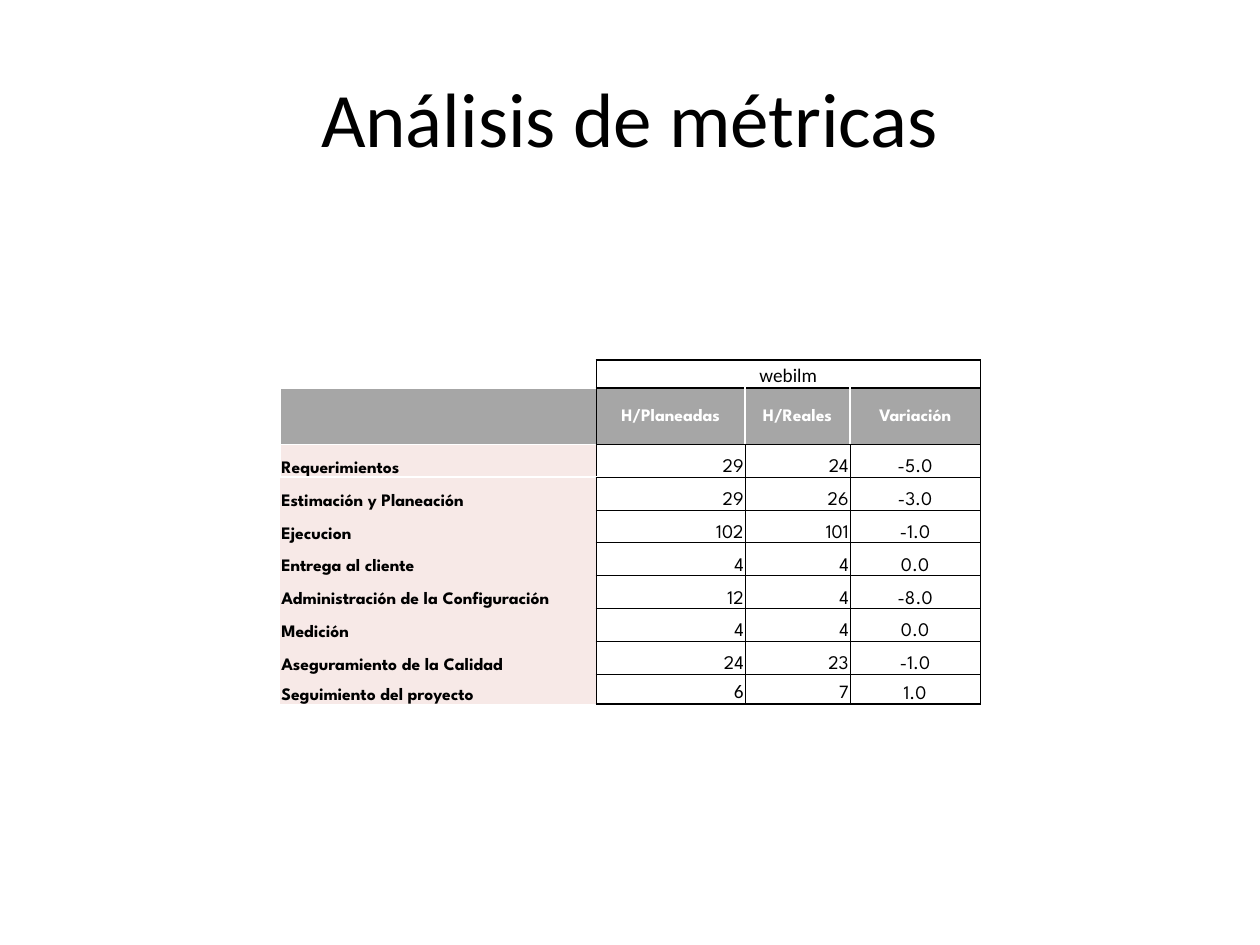
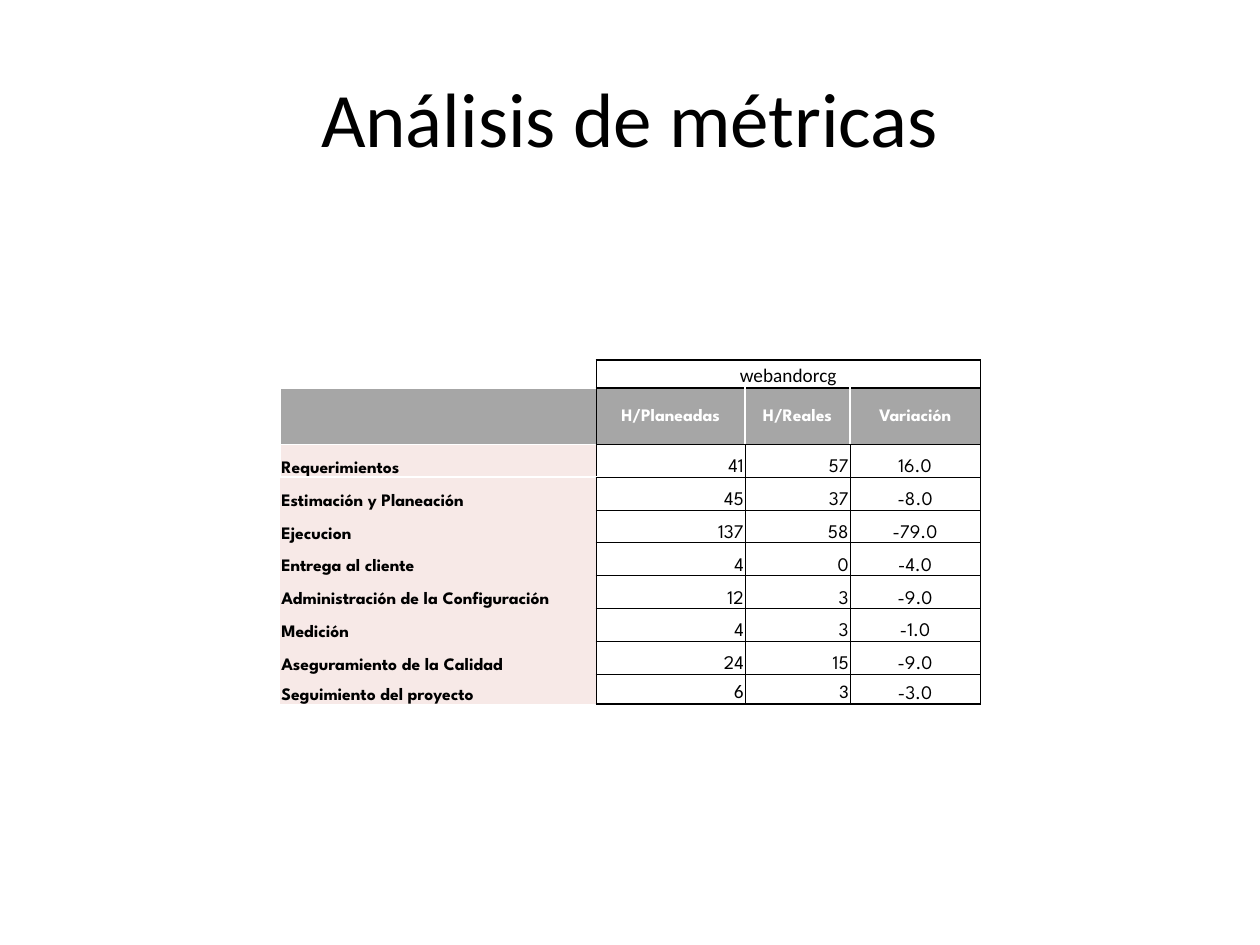
import lxml.etree
import pptx
import pptx.dml.color
import pptx.enum.text
import pptx.oxml.ns
import pptx.util

Pt = pptx.util.Pt
RGBColor = pptx.dml.color.RGBColor
Align = pptx.enum.text.PP_ALIGN
Anchor = pptx.enum.text.MSO_ANCHOR
qn = pptx.oxml.ns.qn

BLACK = RGBColor(0x00, 0x00, 0x00)
WHITE = RGBColor(0xFF, 0xFF, 0xFF)
HEADER_GRAY = RGBColor(0xA6, 0xA6, 0xA6)
LABEL_PINK = RGBColor(0xF7, 0xE9, 0xE7)
TEXT_FONT = "Calibri"
TABLE_FONT = "League Spartan"
PLAIN_TABLE_STYLE = "{2D5ABB26-0587-4C30-8999-92F81FD0307C}"

TITLE = "Análisis de métricas"
HEADERS = ["H/Planeadas", "H/Reales", "Variación"]
ACTIVITIES = [
    "Requerimientos",
    "Estimación y Planeación",
    "Ejecucion",
    "Entrega al cliente",
    "Administración de la Configuración",
    "Medición",
    "Aseguramiento de la Calidad",
    "Seguimiento del proyecto",
]
# Project name, planned hours and actual hours per activity
PROJECTS = [
    ("webilm", [29, 29, 102, 4, 12, 4, 24, 6], [24, 26, 101, 4, 4, 4, 23, 7]),
    ("webandorcg", [41, 45, 137, 4, 12, 4, 24, 6], [57, 37, 58, 0, 3, 3, 15, 3]),
]
COLUMN_WIDTHS = [180.75, 85, 60, 74.5]
ROW_HEIGHTS = [16, 32.25] + [18.75] * 7 + [17.25]
LAST_ROW = len(ROW_HEIGHTS) - 1


def write_text(frame, text, size=11, font=TABLE_FONT, color=BLACK, bold=False,
               align=Align.LEFT):
    paragraph = frame.paragraphs[0]
    paragraph.alignment = align
    if not text:
        # An empty cell keeps a small line so that its row does not grow
        end = lxml.etree.SubElement(paragraph._p, qn("a:endParaRPr"))
        end.set("sz", str(size * 100))
        return
    run = paragraph.add_run()
    run.text = text
    run.font.size = Pt(size)
    run.font.name = font
    run.font.bold = bold
    run.font.color.rgb = color


def vertical_edge(row, edge):
    """Return (colour, width) of the line at a column edge, or None."""
    if edge == 0:
        return (WHITE, 1) if row in (1, 2) else None
    if row == 0 or edge in (1, len(COLUMN_WIDTHS)):
        return BLACK, 1
    return (WHITE, 1) if row == 1 else (BLACK, 0.5)


def horizontal_edge(edge, column):
    """Return (colour, width) of the line at a row edge, or None."""
    if column == 0:
        return (WHITE, 1) if edge in (1, 2) else None
    return BLACK, 1 if edge in (0, 1, 2, len(ROW_HEIGHTS)) else 0.5


def draw_borders(cell, row, column):
    edges = {
        "a:lnL": vertical_edge(row, column),
        "a:lnR": vertical_edge(row, column + 1),
        "a:lnT": horizontal_edge(row, column),
        "a:lnB": horizontal_edge(row + 1, column),
    }
    properties = cell._tc.get_or_add_tcPr()
    lines = []
    for tag, edge in edges.items():
        if edge:
            color, width = edge
            line = lxml.etree.Element(qn(tag), w=str(Pt(width)))
            fill = lxml.etree.SubElement(line, qn("a:solidFill"))
            lxml.etree.SubElement(fill, qn("a:srgbClr"), val=str(color))
            lines.append(line)
    for position, line in enumerate(lines):
        properties.insert(position, line)


def cell_format(row, column):
    """Return the text format of a table cell."""
    if row == 0:
        return dict(font=TEXT_FONT, align=Align.CENTER)
    if row == 1:
        return dict(size=10, color=WHITE, bold=True, align=Align.CENTER)
    if column == 0:
        return dict(size=10, bold=True)
    if column == 3:
        return dict(align=Align.CENTER)
    font = TEXT_FONT if row == LAST_ROW else TABLE_FONT
    return dict(font=font, align=Align.RIGHT)


def cell_fill(row, column):
    if row == 1:
        return HEADER_GRAY
    return LABEL_PINK if row > 1 and column == 0 else None


class MetricsDeck:
    def __init__(self):
        self.presentation = pptx.Presentation()
        self.presentation.slide_width = Pt(720)
        self.presentation.slide_height = Pt(540)
        self.slide = None

    def add_slide(self, title):
        layout = self.presentation.slide_layouts.get_by_name("Title Only")
        self.slide = self.presentation.slides.add_slide(layout)
        shape = self.slide.shapes.title
        shape.left, shape.top = Pt(36), Pt(21.6)
        shape.width, shape.height = Pt(648), Pt(90)
        shape.text_frame.vertical_anchor = Anchor.MIDDLE
        write_text(shape.text_frame, title, size=44, font=TEXT_FONT,
                   align=Align.CENTER)

    def add_table(self, rows):
        shape = self.slide.shapes.add_table(
            len(ROW_HEIGHTS), len(COLUMN_WIDTHS), Pt(160), Pt(205.75),
            Pt(sum(COLUMN_WIDTHS)), Pt(sum(ROW_HEIGHTS)))
        table = shape.table
        table._tbl.tblPr.find(qn("a:tableStyleId")).text = PLAIN_TABLE_STYLE
        for column, width in zip(table.columns, COLUMN_WIDTHS):
            column.width = Pt(width)
        for table_row, height in zip(table.rows, ROW_HEIGHTS):
            table_row.height = Pt(height)
        for row, texts in enumerate(rows):
            for column, text in enumerate(texts):
                self.format_cell(table.cell(row, column), row, column, text)
        table.cell(0, 1).merge(table.cell(0, 3))

    def format_cell(self, cell, row, column, text):
        cell.margin_left = cell.margin_right = cell.margin_top = Pt(0.75)
        cell.margin_bottom = 0
        cell.vertical_anchor = Anchor.MIDDLE if row == 1 else Anchor.BOTTOM
        write_text(cell.text_frame, text, **cell_format(row, column))
        color = cell_fill(row, column)
        if color is None:
            cell.fill.background()
        else:
            cell.fill.solid()
            cell.fill.fore_color.rgb = color
        draw_borders(cell, row, column)


def project_rows(project, planned_hours, actual_hours):
    rows = [["", project, "", ""], [""] + HEADERS]
    for activity, planned, actual in zip(ACTIVITIES, planned_hours, actual_hours):
        rows.append([activity, str(planned), str(actual), f"{actual - planned:.1f}"])
    return rows


def main():
    deck = MetricsDeck()
    for project in PROJECTS:
        deck.add_slide(TITLE)
        deck.add_table(project_rows(*project))
    deck.presentation.save("out.pptx")


if __name__ == "__main__":
    main()
